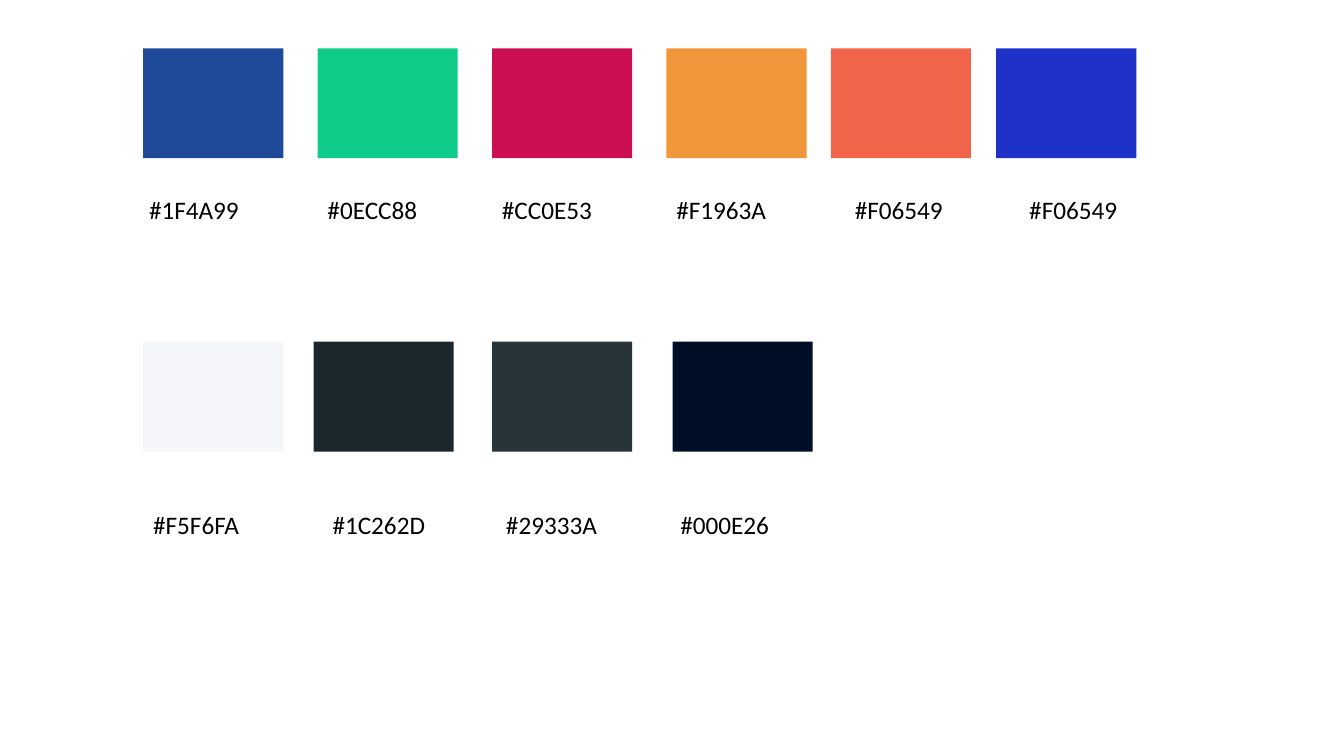
from pptx import Presentation
from pptx.dml.color import RGBColor
from pptx.enum.shapes import MSO_SHAPE
from pptx.enum.text import MSO_AUTO_SIZE
from pptx.util import Emu, Pt

PX = 9144  # EMU per px, 100 px to the inch
SLIDE_SIZE = (1333, 750)
SWATCH_SIZE = (139, 109)
LABEL_SIZE = (127, 40)

# Each swatch: fill, label, swatch left, label left
BRIGHT_COLOURS = [
    ("1F4A99", "#1F4A99", 142, 138),
    ("0ECC88", "#0ECC88", 315, 315),
    ("CC0E53", "#CC0E53", 488, 488),
    ("F1963A", "#F1963A", 661, 661),
    ("F06549", "#F06549", 824, 838),
    ("1E32C8", "#F06549", 988, 1011),
]
NEUTRAL_COLOURS = [
    ("F5F6FA", "#F5F6FA", 142, 142),
    ("1C262D", "#1C262D", 311, 320),
    ("29333A", "#29333A", 488, 492),
    ("000E26", "#000E26", 667, 665),
]


def px(*lengths):
    return [Emu(length * PX) for length in lengths]


def colour(hex_code):
    return RGBColor.from_string(hex_code)


def add_swatch(page, left, top, fill):
    swatch = page.shapes.add_shape(MSO_SHAPE.RECTANGLE, *px(left, top, *SWATCH_SIZE))
    swatch.shadow.inherit = False
    swatch.fill.solid()
    swatch.fill.fore_color.rgb = colour(fill)
    swatch.line.fill.background()


def add_label(page, left, top, text):
    box = page.shapes.add_textbox(*px(left, top, *LABEL_SIZE))
    frame = box.text_frame
    frame.word_wrap = True
    frame.auto_size = MSO_AUTO_SIZE.SHAPE_TO_FIT_TEXT
    para = frame.paragraphs[0]
    para.text = text
    para.font.name = "Calibri"
    para.font.size = Pt(18)
    para.font.color.rgb = colour("000000")


def add_palette_row(page, top, label_offset, colours):
    """Place a row of swatches at top, with labels label_offset below it."""
    for fill, text, swatch_left, label_left in colours:
        add_swatch(page, swatch_left, top, fill)
        add_label(page, label_left, top + label_offset, text)


def main():
    deck = Presentation()
    deck.slide_width, deck.slide_height = px(*SLIDE_SIZE)
    blank_layout = deck.slide_layouts[6]
    page = deck.slides.add_slide(blank_layout)
    add_palette_row(page, 48, 140, BRIGHT_COLOURS)
    add_palette_row(page, 339, 161, NEUTRAL_COLOURS)
    deck.save("out.pptx")


if __name__ == "__main__":
    main()
